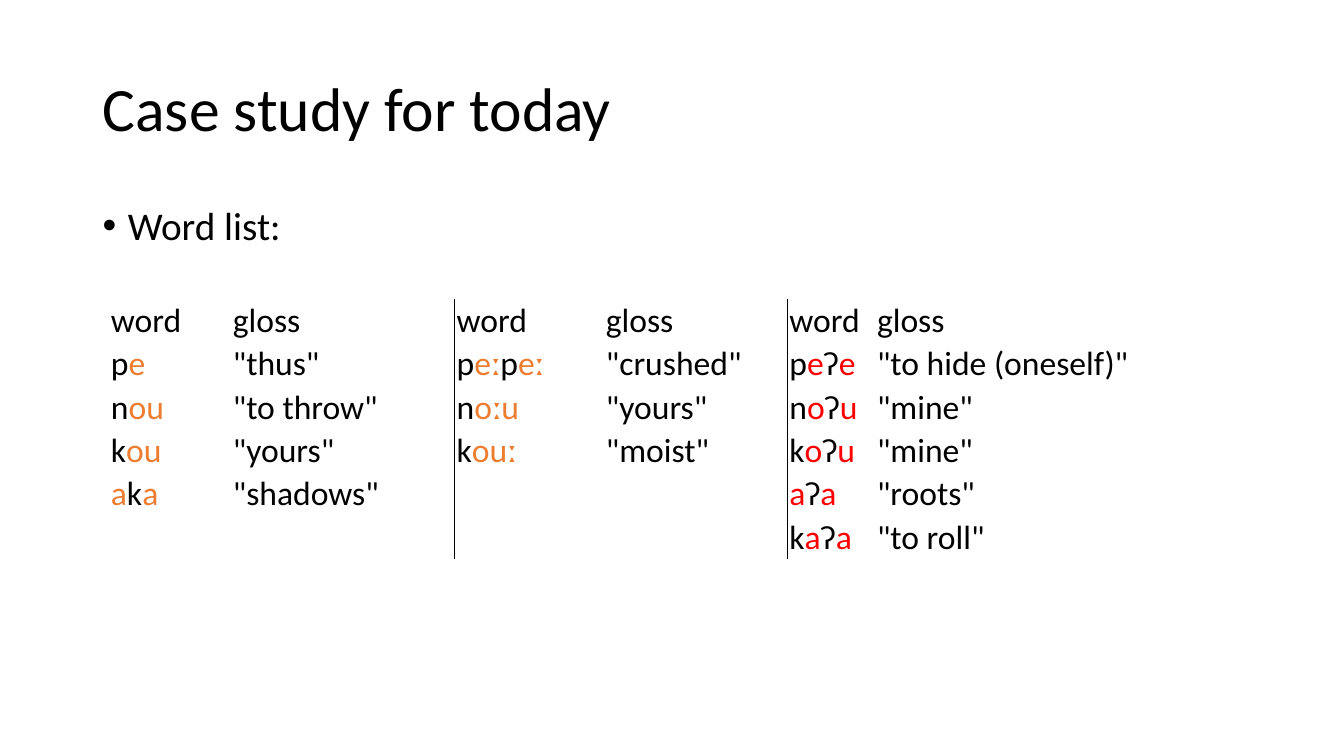
from dataclasses import dataclass
from itertools import groupby

from lxml import etree
from pptx import Presentation
from pptx import util as u
from pptx.dml.color import RGBColor
from pptx.enum import text
from pptx.oxml.ns import qn

EMU_PER_PX = 9144
FONT = "Calibri"
BLACK = RGBColor(0x00, 0x00, 0x00)
ORANGE = RGBColor(0xED, 0x7D, 0x31)
RED = RGBColor(0xFF, 0x00, 0x00)
CONSONANTS = "pnkʔ"
COLUMN_WIDTHS = [121, 222, 148, 182, 87, 342]
ROW_COUNT = 6
ROW_HEIGHT = 43


@dataclass
class WordGroup:
    vowel_color: RGBColor
    entries: list[tuple[str, str]]


@dataclass
class TextBlock:
    left: int
    top: int
    width: int
    height: int
    content: str
    size: int
    anchor: text.MSO_ANCHOR
    bulleted: bool = False


GROUPS = [
    WordGroup(ORANGE, [("pe", '"thus"'), ("nou", '"to throw"'),
                       ("kou", '"yours"'), ("aka", '"shadows"')]),
    WordGroup(ORANGE, [("peːpeː", '"crushed"'), ("noːu", '"yours"'),
                       ("kouː", '"moist"')]),
    WordGroup(RED, [("peʔe", '"to hide (oneself)"'), ("noʔu", '"mine"'),
                    ("koʔu", '"mine"'), ("aʔa", '"roots"'),
                    ("kaʔa", '"to roll"')]),
]

BLOCKS = [
    TextBlock(92, 38, 1150, 145, "Case study for today", 44,
              text.MSO_ANCHOR.MIDDLE),
    TextBlock(92, 200, 1150, 476, "Word list:", 28,
              text.MSO_ANCHOR.TOP, bulleted=True),
]


def px(n: int) -> u.Emu:
    return u.Emu(n * EMU_PER_PX)


def add_run(p, content: str, size: int, color: RGBColor = BLACK) -> None:
    r = p.add_run()
    r.text = content
    r.font.name = FONT
    r.font.size = u.Pt(size)
    r.font.color.rgb = color


def add_bullet(p) -> None:
    pPr = p._p.get_or_add_pPr()
    pPr.set("marL", str(px(25)))
    pPr.set("indent", str(px(-25)))
    etree.SubElement(pPr, qn("a:buFont")).set("typeface", "Arial")
    etree.SubElement(pPr, qn("a:buChar")).set("char", "•")


def draw_block(slide, block: TextBlock) -> None:
    sp = slide.shapes.add_textbox(px(block.left), px(block.top),
                                  px(block.width), px(block.height))
    tf = sp.text_frame
    tf.word_wrap = True
    tf.vertical_anchor = block.anchor
    p = tf.paragraphs[0]
    if block.bulleted:
        add_bullet(p)
    p.line_spacing = 0.9
    add_run(p, block.content, block.size)


def set_borders(cell, visible: str) -> None:
    tcPr = cell._tc.get_or_add_tcPr()
    for side in "LRTB":
        ln = etree.SubElement(tcPr, qn(f"a:ln{side}"))
        if side in visible:
            ln.set("w", str(u.Pt(1)))
            fill = etree.SubElement(ln, qn("a:solidFill"))
            etree.SubElement(fill, qn("a:srgbClr")).set("val", str(BLACK))
        else:
            etree.SubElement(ln, qn("a:noFill"))


def fill_word(p, word: str, vowel_color: RGBColor) -> None:
    for is_consonant, letters in groupby(word, lambda c: c in CONSONANTS):
        add_run(p, "".join(letters), 24, BLACK if is_consonant else vowel_color)


def draw_table(slide) -> None:
    frame = slide.shapes.add_table(
        ROW_COUNT, len(COLUMN_WIDTHS), px(108), px(297),
        px(sum(COLUMN_WIDTHS)), px(ROW_COUNT * ROW_HEIGHT))
    table = frame.table
    table.first_row = False
    table.horz_banding = False
    for column, width in zip(table.columns, COLUMN_WIDTHS):
        column.width = px(width)
    for row in table.rows:
        row.height = px(ROW_HEIGHT)

    last = len(COLUMN_WIDTHS) - 1
    for row in table.rows:
        for i, cell in enumerate(row.cells):
            if i % 2:
                set_borders(cell, "R" if i < last else "")
            else:
                set_borders(cell, "L" if i > 0 else "")
            cell.fill.background()
            cell.margin_left = cell.margin_right = px(2)
            cell.margin_top = cell.margin_bottom = px(1)
            cell.vertical_anchor = text.MSO_ANCHOR.BOTTOM

    for g, group in enumerate(GROUPS):
        for i, heading in enumerate(("word", "gloss")):
            p = table.cell(0, 2 * g + i).text_frame.paragraphs[0]
            add_run(p, heading, 24)
        for row, (word, gloss) in enumerate(group.entries, start=1):
            p = table.cell(row, 2 * g).text_frame.paragraphs[0]
            fill_word(p, word, group.vowel_color)
            p = table.cell(row, 2 * g + 1).text_frame.paragraphs[0]
            add_run(p, gloss, 24)


def main() -> None:
    prs = Presentation()
    prs.slide_width, prs.slide_height = px(1333), px(750)
    slide = prs.slides.add_slide(prs.slide_layouts[6])
    for block in BLOCKS:
        draw_block(slide, block)
    draw_table(slide)
    prs.save("out.pptx")


if __name__ == "__main__":
    main()
